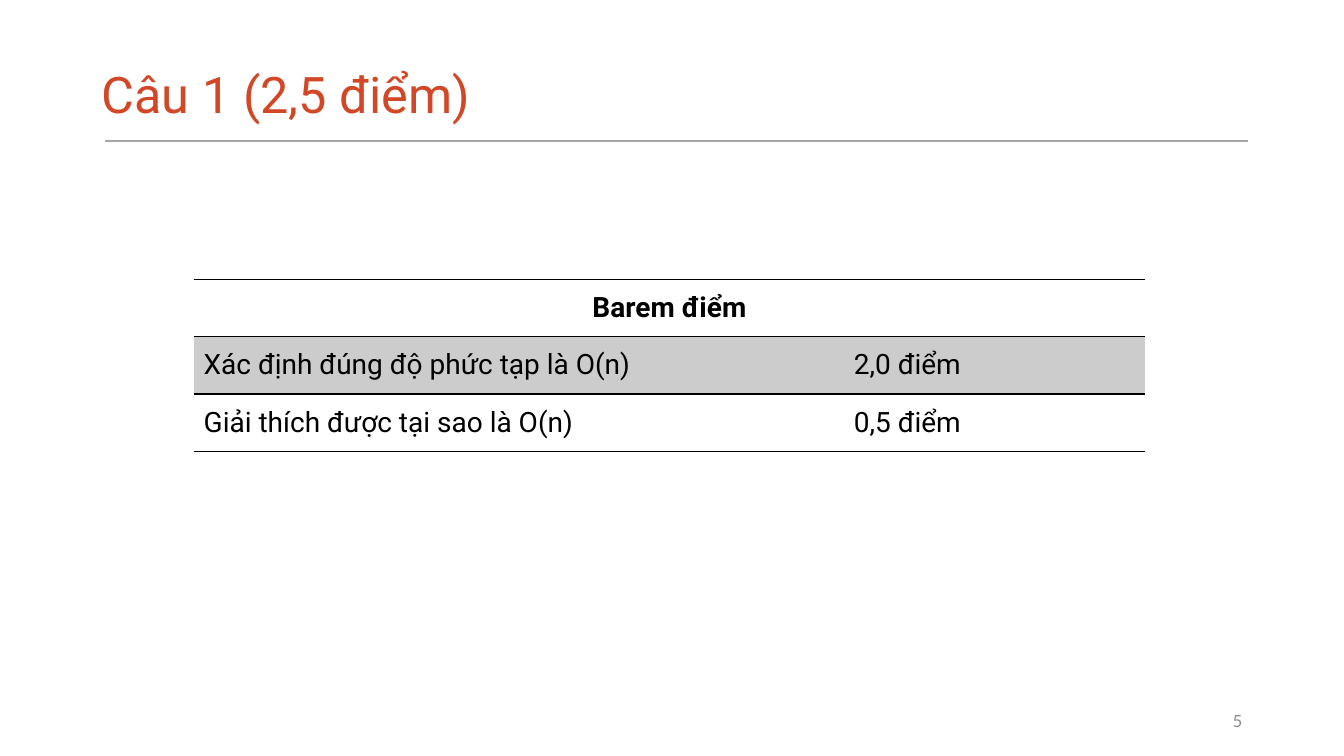
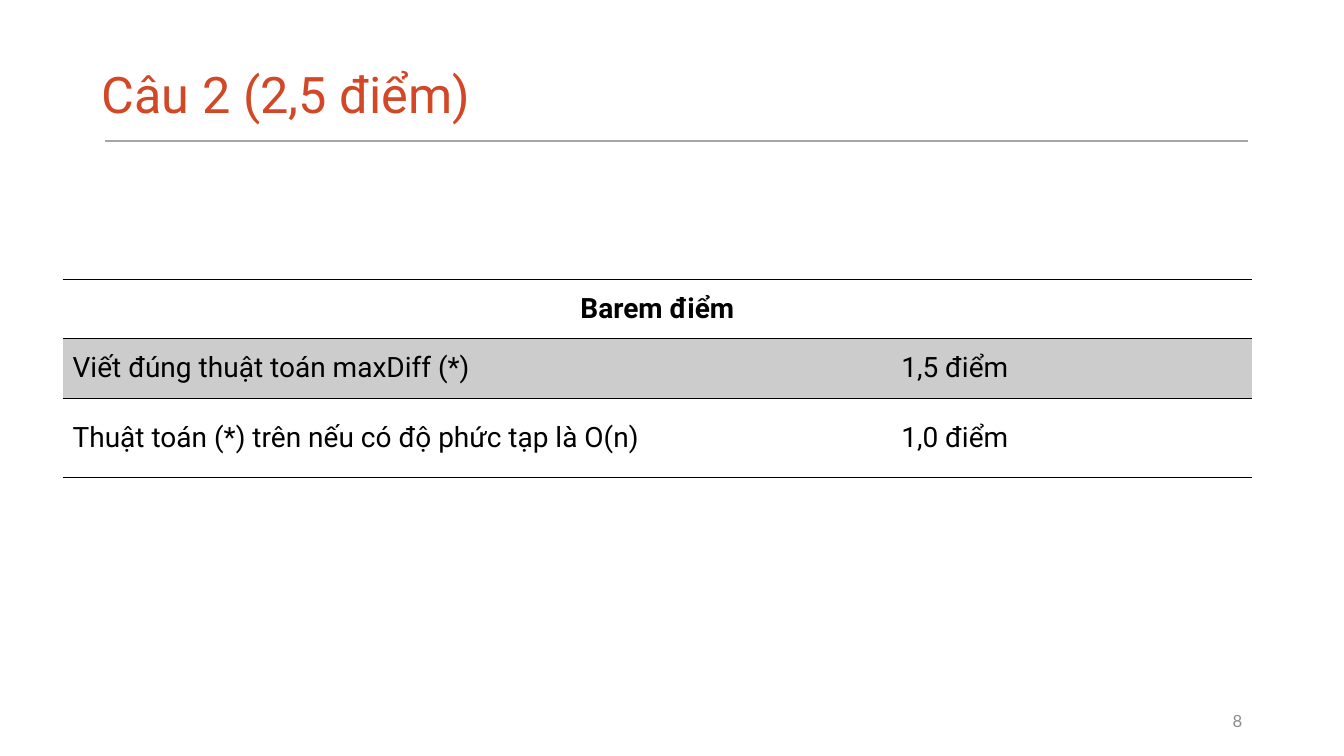
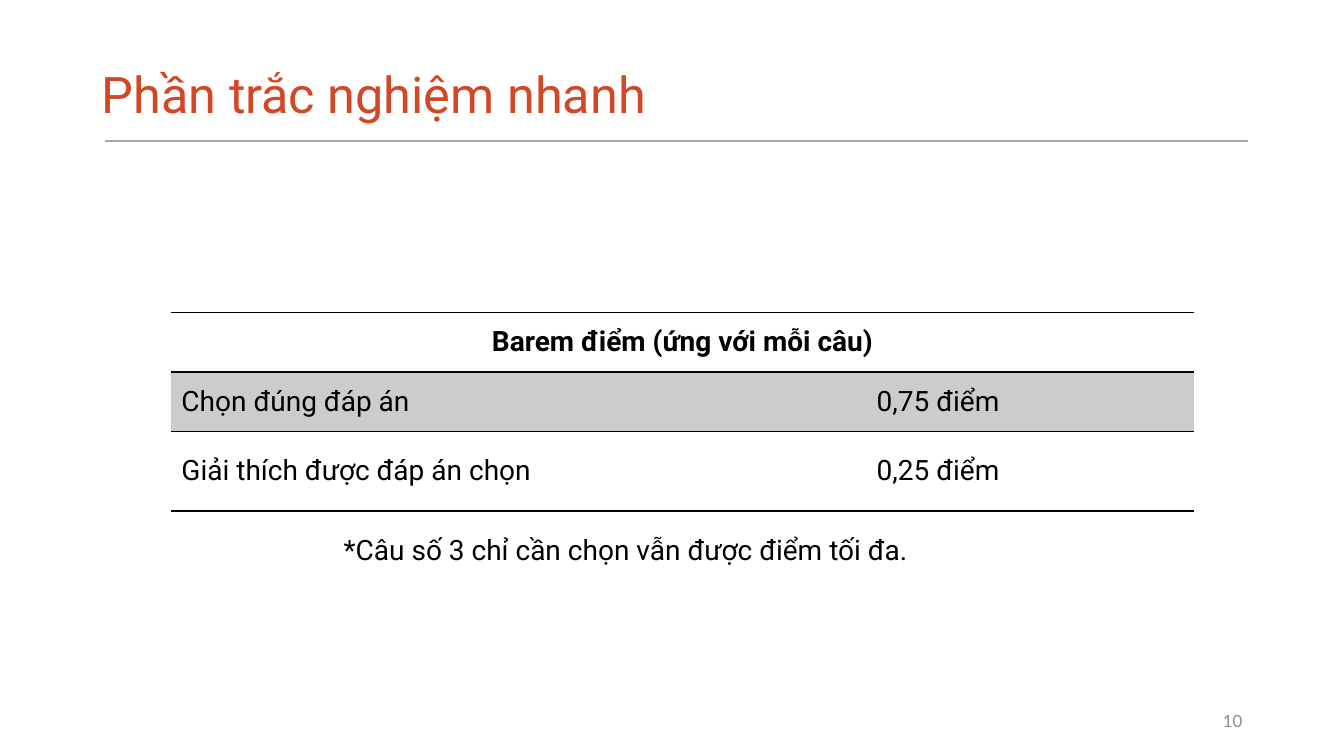
from lxml.etree import SubElement
from pptx import Presentation
from pptx.dml.color import RGBColor
from pptx.enum.shapes import MSO_CONNECTOR
from pptx.enum.text import MSO_ANCHOR as Anchor, MSO_AUTO_SIZE as AutoSize, PP_ALIGN as Align
from pptx.oxml.ns import qn
from pptx.util import Inches, Pt

COLORS = {"title": "D24726", "rule": "A6A6A6", "text": "000000", "band": "CCCCCC", "number": "8C8C8C"}
NO_STYLE = "{2D5ABB26-0587-4C30-8999-92F81FD0307C}"
TITLE = {"name": "Roboto", "size": Pt(36), "bold": False, "color": "title"}
BODY = {"name": "Roboto", "size": Pt(20), "bold": False, "color": "text"}
HEADER = {**BODY, "bold": True}
NUMBER = {"name": "Lato", "size": Pt(12), "bold": False, "color": "number"}

SLIDES = [
    {
        "title": "Câu 1 (2,5 điểm)", "number": "5",
        "left": 1.92, "top": 2.77, "column": 4.72, "heights": [0.57, 0.57, 0.57],
        "rows": [["Barem điểm", ""],
                 ["Xác định đúng độ phức tạp là O(n)", "2,0 điểm"],
                 ["Giải thích được tại sao là O(n)", "0,5 điểm"]],
    },
    {
        "title": "Câu 2 (2,5 điểm)", "number": "8",
        "left": 0.62, "top": 2.77, "column": 5.9, "heights": [0.59, 0.59, 0.79],
        "rows": [["Barem điểm", ""],
                 ["Viết đúng thuật toán maxDiff (*)", "1,5 điểm"],
                 ["Thuật toán (*) trên nếu có độ phức tạp là O(n)", "1,0 điểm"]],
    },
    {
        "title": "Phần trắc nghiệm nhanh", "number": "10",
        "left": 1.7, "top": 3.1, "column": 5.07, "heights": [0.59, 0.59, 0.79],
        "rows": [["Barem điểm (ứng với mỗi câu)", ""],
                 ["Chọn đúng đáp án", "0,75 điểm"],
                 ["Giải thích được đáp án chọn", "0,25 điểm"]],
        "note": "*Câu số 3 chỉ cần chọn vẫn được điểm tối đa.",
    },
]


def write(frame, text, style, align=Align.LEFT, spacing=1.0, anchor=Anchor.MIDDLE):
    frame.word_wrap = True
    frame.vertical_anchor = anchor
    paragraph = frame.paragraphs[0]
    paragraph.alignment = align
    paragraph.line_spacing = spacing
    run = paragraph.add_run()
    run.text = text
    for name, value in style.items():
        if name == "color":
            run.font.color.rgb = RGBColor.from_string(COLORS[value])
        else:
            setattr(run.font, name, value)


def add_border(cell, side):
    line = SubElement(cell._tc.get_or_add_tcPr(), qn(f"a:{side}"), w=str(Pt(1)))
    SubElement(SubElement(line, qn("a:solidFill")), qn("a:srgbClr"), val=COLORS["text"])


presentation = Presentation()
presentation.slide_width = Inches(13.33)
presentation.slide_height = Inches(7.5)
title_only = presentation.slide_layouts[5]

for content in SLIDES:
    slide = presentation.slides.add_slide(title_only)

    rule = slide.shapes.add_connector(
        MSO_CONNECTOR.STRAIGHT, Inches(1.04), Inches(1.4), Inches(12.38), Inches(1.4))
    rule.line.color.rgb = RGBColor.from_string(COLORS["rule"])
    rule.line.width = Pt(1)
    SubElement(rule._element.spPr, qn("a:effectLst"))

    title = slide.shapes.title
    title.left, title.top, title.width, title.height = map(Inches, (0.91, 0.51, 11.5, 0.9))
    title.text_frame.auto_size = AutoSize.NONE
    write(title.text_frame, content["title"], TITLE, spacing=0.9)

    rows, heights = content["rows"], content["heights"]
    table = slide.shapes.add_table(
        len(rows), 2, Inches(content["left"]), Inches(content["top"]),
        Inches(2 * content["column"]), Inches(sum(heights))).table
    table.first_row = table.horz_banding = False
    table._tbl.tblPr.find(qn("a:tableStyleId")).text = NO_STYLE
    table.cell(0, 0).merge(table.cell(0, 1))
    for row_index, (texts, height) in enumerate(zip(rows, heights)):
        table.rows[row_index].height = Inches(height)
        for column_index, text in enumerate(texts):
            cell = table.cell(row_index, column_index)
            cell.vertical_anchor = Anchor.MIDDLE
            for side in (["lnT", "lnB"], ["lnT"], ["lnB"])[row_index]:
                add_border(cell, side)
            if row_index == 1:
                cell.fill.solid()
                cell.fill.fore_color.rgb = RGBColor.from_string(COLORS["band"])
            else:
                cell.fill.background()
            if text:
                centered = row_index == 0 or column_index == 1
                write(cell.text_frame, text, HEADER if row_index == 0 else BODY,
                      Align.CENTER if centered else Align.LEFT)
                cell.vertical_anchor = Anchor.MIDDLE

    if "note" in content:
        note = slide.shapes.add_textbox(Inches(3.31), Inches(5.07), Inches(8.2), Inches(0.55))
        note.text_frame.auto_size = AutoSize.SHAPE_TO_FIT_TEXT
        write(note.text_frame, content["note"], BODY, Align.JUSTIFY, 1.5, Anchor.TOP)

    number = slide.shapes.add_textbox(Inches(9.42), Inches(6.95), Inches(3), Inches(0.4))
    write(number.text_frame, content["number"], NUMBER, Align.RIGHT)

presentation.save("out.pptx")
